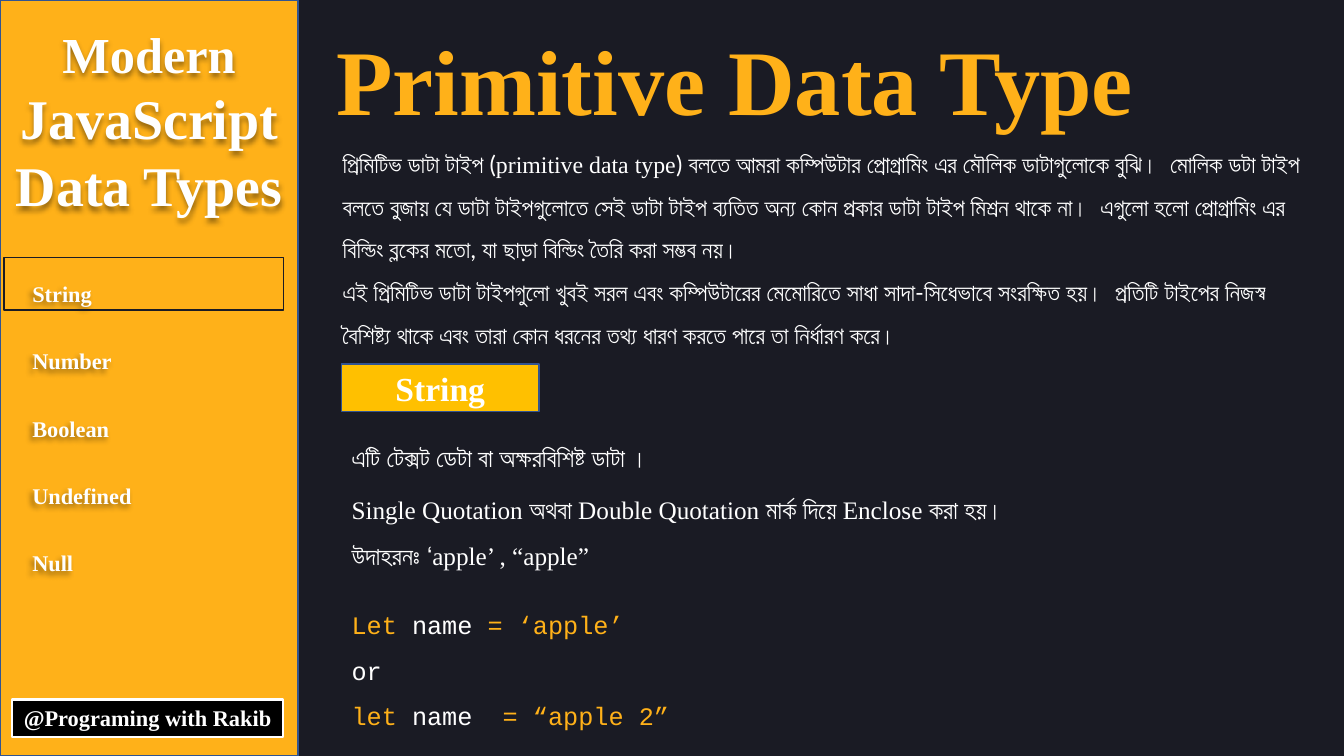
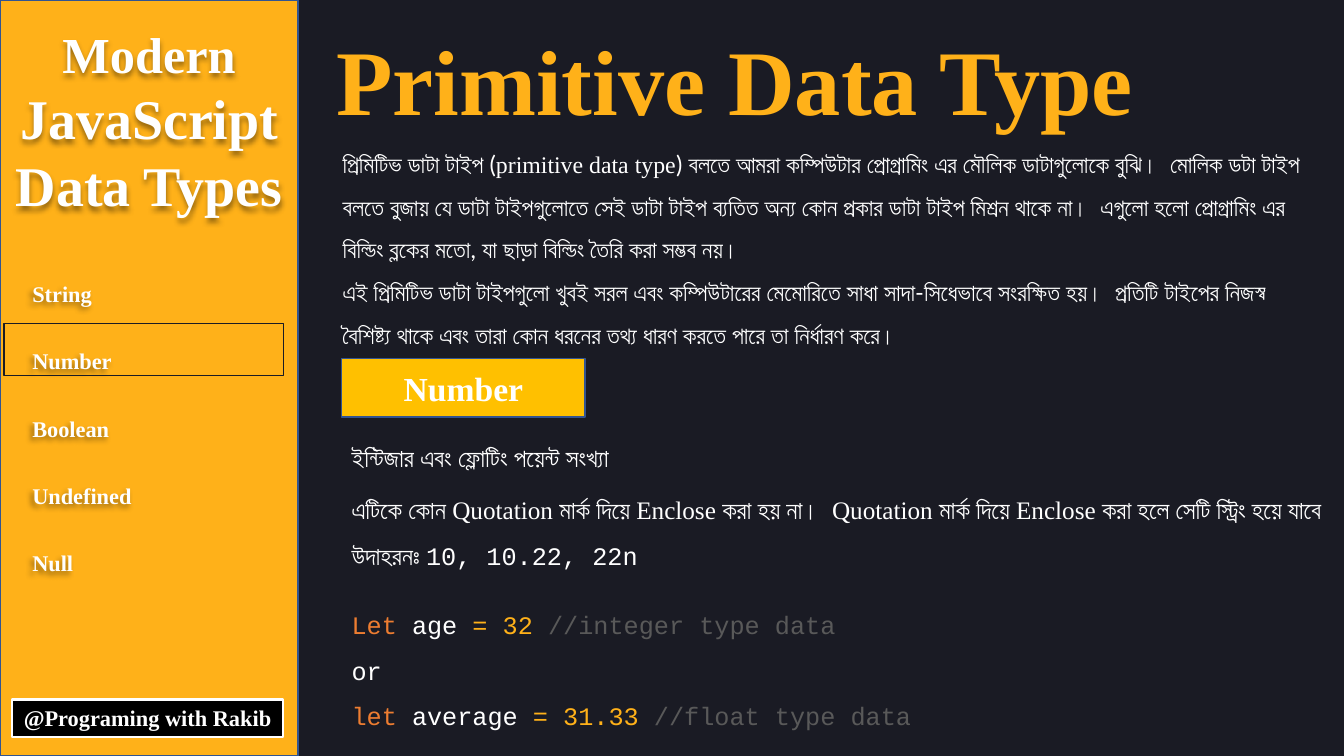
"""Build two slides on primitive data types in JavaScript."""
from lxml.etree import SubElement
from pptx import Presentation
from pptx.dml.color import RGBColor as Rgb
from pptx.enum.shapes import MSO_SHAPE as Kind
from pptx.enum.text import MSO_ANCHOR as Anchor, MSO_AUTO_SIZE as Fit, PP_ALIGN as Align
from pptx.oxml.ns import qn
from pptx.util import Pt

HUES = {
    "night": "1A1B24", "amber": "FFB119", "gold": "FFC000", "edge": "325491",
    "white": "FFFFFF", "black": "000000", "orange": "ED7D31", "grey": "595959",
}
SERIF, SANS, MONO = "Times New Roman", "Lato", "Courier New"
STYLES = {
    "en": (SERIF, "white"), "bn": (SANS, "white"), "code": (MONO, "white"),
    "amber": (MONO, "amber"), "orange": (MONO, "orange"), "note": (MONO, "grey"),
    "title": (SERIF, "amber"),
}

TITLE = "Primitive Data Type"
SIDE = [("Modern", 36), ("JavaScript", 40), ("Data Types", 40)]
MENU = ["String", "Number", "Boolean", "Undefined", "Null"]
CREDIT = "@Programing with Rakib"
INTRO = [
    [("bn", "প্রিমিটিভ ডাটা টাইপ ("), ("en", "primitive data type"),
     ("bn", ") বলতে আমরা কম্পিউটার প্রোগ্রামিং এর মৌলিক ডাটাগুলোকে বুঝি।  "
            "মোলিক ডটা টাইপ বলতে বুজায় যে ডাটা টাইপগুলোতে সেই ডাটা টাইপ ব্যতিত "
            "অন্য কোন প্রকার ডাটা টাইপ মিশ্রন থাকে না।  এগুলো হলো প্রোগ্রামিং এর "
            "বিল্ডিং ব্লকের মতো, যা ছাড়া বিল্ডিং তৈরি করা সম্ভব নয়।")],
    [("bn", "এই প্রিমিটিভ ডাটা টাইপগুলো খুবই সরল এবং কম্পিউটারের মেমোরিতে "
            "সাধা সাদা-সিধেভাবে সংরক্ষিত হয়।  প্রতিটি টাইপের নিজস্ব বৈশিষ্ট্য থাকে "
            "এবং তারা কোন ধরনের তথ্য ধারণ করতে পারে তা নির্ধারণ করে।")],
]
TOPICS = [
    {
        "name": "String", "size": (141, 34),
        "lead": [[("bn", "এটি টেক্সট ডেটা বা অক্ষরবিশিষ্ট ডাটা ।")]],
        "rules": [
            [("en", "Single Quotation "), ("bn", "অথবা "), ("en", "Double Quotation "),
             ("bn", "মার্ক দিয়ে "), ("en", "Enclose "), ("bn", "করা হয়।")],
            [("bn", "উদাহরনঃ "), ("en", "‘apple’ , “apple”")],
        ],
        "code": [
            [("amber", "Let "), ("code", "name"), ("amber", " = ‘apple’")],
            [("code", "or")],
            [("amber", "let "), ("code", "name"), ("amber", "  = “apple 2”")],
        ],
    },
    {
        "name": "Number", "size": (174, 42),
        "lead": [[("bn", "ইন্টিজার এবং ফ্লোটিং পয়েন্ট সংখ্যা")]],
        "rules": [
            [("bn", "এটিকে কোন "), ("en", "Quotation "), ("bn", "মার্ক দিয়ে "),
             ("en", "Enclose "), ("bn", "করা হয় না।  "), ("en", "Quotation "),
             ("bn", "মার্ক দিয়ে "), ("en", "Enclose করা হলে সেটি স্ট্রিং হয়ে যাবে")],
            [("bn", "উদাহরনঃ "), ("code", "10, 10.22, 22n")],
        ],
        "code": [
            [("orange", "Let "), ("code", "age"), ("amber", " = 32 "),
             ("note", "//integer type data")],
            [("code", "or")],
            [("orange", "let "), ("code", "average"), ("amber", " = 31.33 "),
             ("note", "//float type data")],
        ],
    },
]

LEFT, WIDE, MID = 244, 708, 277
PITCH = 47


def hue(name):
    return Rgb.from_string(HUES[name])


def apply(item, values):
    for key, value in values.items():
        setattr(item, key, value)


def write(shape, paras, size, bold=False, wrap=True, anchor=Anchor.TOP, **form):
    frame = shape.text_frame
    apply(frame, {"auto_size": Fit.NONE, "word_wrap": wrap, "vertical_anchor": anchor})
    for i, runs in enumerate(paras):
        para = frame.add_paragraph() if i else frame.paragraphs[0]
        apply(para, form)
        for style, text, *own in runs:
            face, tint = STYLES[style]
            run = para.add_run()
            run.text = text
            apply(run.font, {"name": face, "size": Pt(own[0] if own else size), "bold": bold})
            run.font.color.rgb = hue(tint)


def label(slide, box, paras, size, **form):
    shape = slide.shapes.add_textbox(*map(Pt, box))
    write(shape, paras, size, **form)
    return shape


def panel(slide, box, fill, line, width=1):
    shape = slide.shapes.add_shape(Kind.RECTANGLE, *map(Pt, box))
    shape.shadow.inherit = False
    if fill:
        shape.fill.solid()
        shape.fill.fore_color.rgb = hue(fill)
    else:
        shape.fill.background()
    shape.line.color.rgb = hue(line)
    shape.line.width = Pt(width)
    return shape


def shade(shape, angle):
    shape.shadow.inherit = False
    effect = shape.element.spPr.find(qn("a:effectLst"))
    drop = SubElement(effect, qn("a:outerShdw"), blurRad="50800", dist="38100",
                      dir=str(angle * 60000), algn="t", rotWithShape="0")
    tint = SubElement(drop, qn("a:prstClr"), val="black")
    SubElement(tint, qn("a:alpha"), val="40000")


def sidebar(slide, name):
    panel(slide, (0, 0, 213, 540), "amber", "edge")
    head = label(slide, (3, 13, 207, 197), [[("en", *line)] for line in SIDE], 40,
                 bold=True, wrap=False, alignment=Align.CENTER)
    shade(head, 90)
    credit = panel(slide, (8.6, 499.7, 193.7, 26.6), "black", "white", 1.5)
    write(credit, [[("en", CREDIT)]], 16, bold=True, wrap=False, alignment=Align.CENTER)
    menu = label(slide, (16, 168, 86, 241), [[("en", text)] for text in MENU], 16,
                 bold=True, wrap=False, line_spacing=2.5)
    shade(menu, 135)
    panel(slide, (3, 184 + PITCH * MENU.index(name), 199.4, 37.4), None, "night")


def build(deck, topic):
    slide = deck.slides.add_slide(deck.slide_layouts[5])
    title = slide.shapes.title
    apply(title, dict(zip(("left", "top", "width", "height"), map(Pt, (233, 13, 588, 87)))))
    write(title, [[("title", TITLE)]], 66, bold=True, alignment=Align.LEFT)
    sidebar(slide, topic["name"])
    label(slide, (237.6, 93, WIDE, 159), INTRO, 17, line_spacing=1.5)
    wide, high = topic["size"]
    badge = panel(slide, (LEFT, MID - high / 2, wide, high), "gold", "edge")
    write(badge, [[("en", topic["name"])]], 24, bold=True, anchor=Anchor.MIDDLE,
          alignment=Align.CENTER)
    for part, top, high in (("lead", 301.7, 37.4), ("rules", 339, 70), ("code", 421, 102)):
        label(slide, (LEFT, top, WIDE, high), topic[part], 18, line_spacing=1.5)


def main():
    deck = Presentation()
    apply(deck, {"slide_width": Pt(960), "slide_height": Pt(540)})
    back = deck.slide_master.background.fill
    back.solid()
    back.fore_color.rgb = hue("night")
    for topic in TOPICS:
        build(deck, topic)
    deck.save("out.pptx")


if __name__ == "__main__":
    main()
